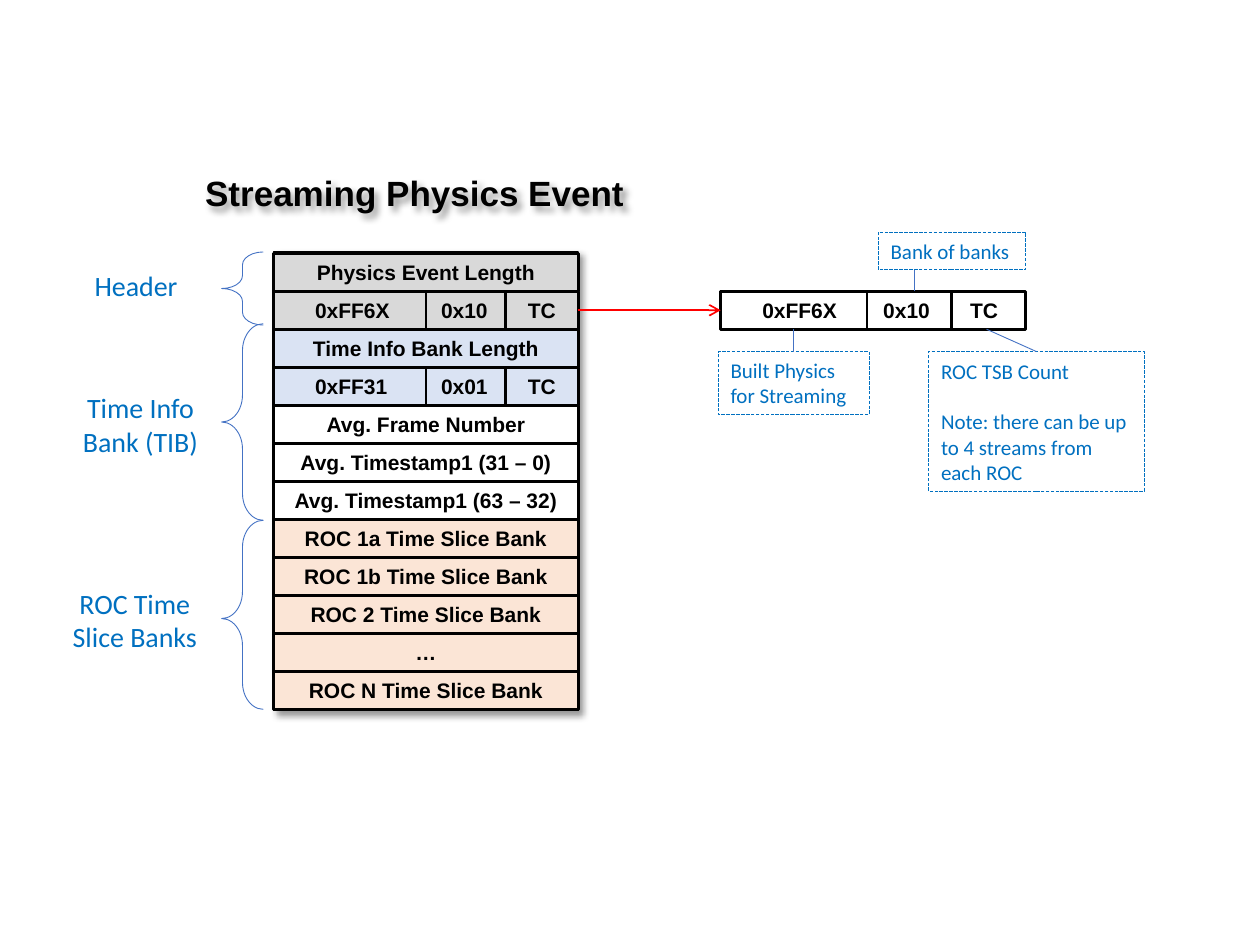
from lxml import etree
from pptx import Presentation
from pptx.dml.color import RGBColor
from pptx.enum import dml, shapes, text
from pptx.oxml import parse_xml
from pptx.oxml.ns import nsdecls, qn
from pptx.util import Inches, Pt

BLACK = RGBColor(0x00, 0x00, 0x00)
WHITE = RGBColor(0xFF, 0xFF, 0xFF)
GRAY = RGBColor(0xD9, 0xD9, 0xD9)
PALE_BLUE = RGBColor(0xDA, 0xE3, 0xF3)
PALE_ORANGE = RGBColor(0xFB, 0xE5, 0xD6)
LABEL_BLUE = RGBColor(0x00, 0x70, 0xC0)
LINE_BLUE = RGBColor(0x44, 0x72, 0xC4)
RED = RGBColor(0xFF, 0x00, 0x00)

SHADOW = (
    f'<a:effectLst {nsdecls("a")}><a:outerShdw blurRad="50800" dist="38100" '
    'dir="2700000" algn="tl" rotWithShape="0"><a:srgbClr val="000000">'
    '<a:alpha val="40000"/></a:srgbClr></a:outerShdw></a:effectLst>'
)
ROW_LEFT, ROW_TOP, ROW_WIDTH, ROW_HEIGHT = 2.17, 2.01, 2.42, 3.62 / 12
WORD_TOP = ROW_TOP + ROW_HEIGHT
WORD_BOTTOM = WORD_TOP + ROW_HEIGHT

deck = Presentation()
deck.slide_width, deck.slide_height = Inches(10), Inches(7.5)
page = deck.slides.add_slide(deck.slide_layouts[6])


def add_box(place, lines=(), size=12, font="Arial", color=BLACK, fill=None,
            line=None, align=text.PP_ALIGN.LEFT, tabs=()):
    """Add a text box, or a rectangle if it has a line.

    With tabs, the first stop is the left margin.
    """
    place = [Inches(length) for length in place]
    if line is None:
        box = page.shapes.add_textbox(*place)
    else:
        box = page.shapes.add_shape(shapes.MSO_SHAPE.RECTANGLE, *place)
        box.line.color.rgb = line
        box.line.width = Pt(1.5)
    box.shadow.inherit = False
    if fill is None:
        box.fill.background()
    else:
        box.fill.solid()
        box.fill.fore_color.rgb = fill
    frame = box.text_frame
    frame.word_wrap = True
    frame.vertical_anchor = text.MSO_ANCHOR.MIDDLE
    if tabs:
        frame.margin_left = Inches(tabs[0])
    for number, words in enumerate(lines):
        para = frame.add_paragraph() if number else frame.paragraphs[0]
        para.text = words
        para.alignment = align
        if tabs:
            stops = etree.SubElement(para._p.get_or_add_pPr(), qn("a:tabLst"))
            for stop in tabs[1:]:
                etree.SubElement(stops, qn("a:tab"), algn="l",
                                 pos=str(Inches(stop - tabs[0])))
        para.font.size = Pt(size)
        para.font.name = font
        para.font.bold = font == "Arial"
        para.font.color.rgb = color
    return box


def add_line(x1, y1, x2, y2, color=BLACK, width=1.5):
    line = page.shapes.add_connector(
        shapes.MSO_CONNECTOR.STRAIGHT, *map(Inches, (x1, y1, x2, y2)))
    line.line.color.rgb = color
    line.line.width = Pt(width)
    etree.SubElement(line._element.spPr, qn("a:effectLst"))
    return line


# Title and section labels
title = add_box((1.53, 1.31, 3.73, 0.44), ["Streaming Physics Event"], size=20)

for place, lines in [
    ((0.53, 2.08, 1.1, 0.37), ["Header"]),
    ((0.46, 3.05, 1.31, 0.64), ["Time Info", "Bank (TIB)"]),
    ((0.46, 4.6, 1.22, 0.64), ["ROC Time Slice Banks"]),
]:
    add_box(place, lines, size=16, font="Calibri", color=LABEL_BLUE,
            align=text.PP_ALIGN.CENTER)

for top, height, curve, point in [
    (2, 0.58, 0.31, 0.5), (2.57, 1.56, 0.65, 0.5), (4.13, 1.5, 0.65, 0.52),
]:
    brace = page.shapes.add_shape(
        shapes.MSO_SHAPE.LEFT_BRACE, *map(Inches, (1.76, top, 0.33, height)))
    brace.shadow.inherit = False
    brace.adjustments[0], brace.adjustments[1] = curve, point
    brace.fill.background()
    brace.line.color.rgb = LINE_BLUE
    brace.line.width = Pt(0.5)

# Event structure: a tab in the words marks a row of three fields
backing = add_box((ROW_LEFT, 2, ROW_WIDTH, 3.64), fill=WHITE, line=BLACK)
backing.line.width = Pt(1)
for box in (title, backing):
    properties = box._element.spPr
    properties.replace(properties.find(qn("a:effectLst")), parse_xml(SHADOW))

rows = [
    ("Physics Event Length", GRAY),
    ("0xFF6X\t0x10\tTC", GRAY),
    ("Time Info Bank Length", PALE_BLUE),
    ("0xFF31\t0x01\tTC", PALE_BLUE),
    ("Avg. Frame Number", None),
    ("Avg. Timestamp1 (31 – 0)", None),
    ("Avg. Timestamp1 (63 – 32)", None),
    ("ROC 1a Time Slice Bank", PALE_ORANGE),
    ("ROC 1b Time Slice Bank", PALE_ORANGE),
    ("ROC 2 Time Slice Bank", PALE_ORANGE),
    ("…", PALE_ORANGE),
    ("ROC N Time Slice Bank", PALE_ORANGE),
]
row_boxes = []
for number, (words, fill) in enumerate(rows):
    top = ROW_TOP + number * ROW_HEIGHT
    split = "\t" in words
    row_boxes.append(add_box(
        (ROW_LEFT, top, ROW_WIDTH, ROW_HEIGHT), [words], fill=fill, line=BLACK,
        align=text.PP_ALIGN.LEFT if split else text.PP_ALIGN.CENTER,
        tabs=(0.33, 1.33, 2.02) if split else ()))
    if split:
        for x in (3.38, 4.01):
            add_line(x, top, x, top + ROW_HEIGHT)

# Enlarged header word with its callouts
header_word = add_box((5.72, WORD_TOP, ROW_WIDTH, ROW_HEIGHT),
                      ["0xFF6X\t0x10\tTC"], fill=WHITE, line=BLACK,
                      tabs=(0.33, 1.29, 1.98))
for x in (6.88, 7.55):
    add_line(x, WORD_TOP, x, WORD_BOTTOM)

arrow = add_line(4.59, 2.46, 5.72, 2.46, RED, 1)
arrow.begin_connect(row_boxes[1], 3)
arrow.end_connect(header_word, 1)
etree.SubElement(arrow._element.spPr.find(qn("a:ln")), qn("a:tailEnd"),
                 type="arrow")

callouts = []
for place, lines in [
    ((6.97, 1.84, 1.17, 0.3), ["Bank of banks"]),
    ((5.7, 2.79, 1.2, 0.5), ["Built Physics for Streaming"]),
    ((7.37, 2.79, 1.71, 1.11),
     ["ROC TSB Count", "Note: there can be up to 4 streams from each ROC"]),
]:
    callout = add_box(place, lines, font="Calibri", color=LABEL_BLUE,
                      line=LABEL_BLUE)
    callout.line.width = Pt(0.25)
    callout.line.dash_style = dml.MSO_LINE.LONG_DASH
    for para in callout.text_frame.paragraphs[1:]:
        para.space_before = Pt(14.5)
    callouts.append(callout)

add_line(7.26, 2.14, 7.26, WORD_TOP, LINE_BLUE, 0.5)
for x, end, callout in [(6.3, 6.3, callouts[1]), (7.83, 8.23, callouts[2])]:
    leader = add_line(x, WORD_BOTTOM, end, 2.79, LINE_BLUE, 0.5)
    leader.end_connect(callout, 0)

deck.save("out.pptx")
